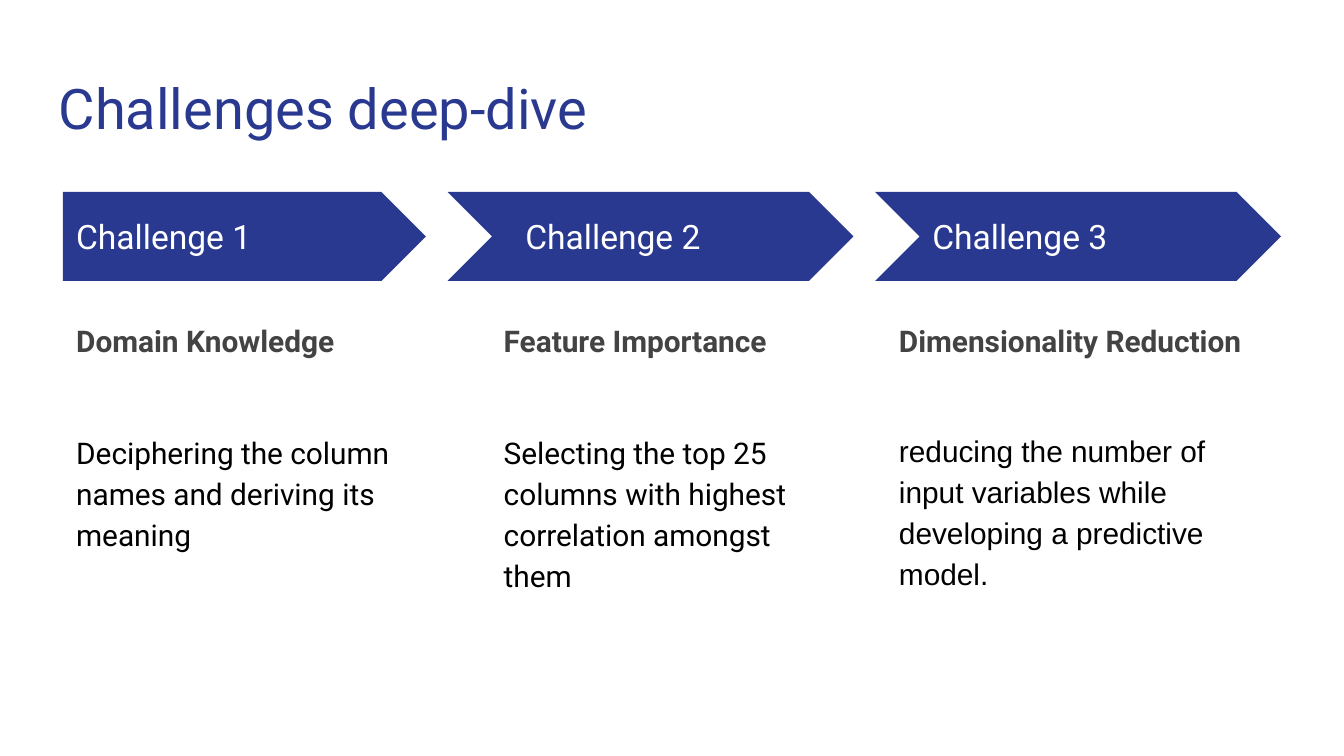
import pptx
import pptx.util
import pptx.dml.color
import pptx.enum.shapes
import pptx.enum.text
import pptx.oxml.ns
from lxml import etree

Cm = pptx.util.Cm
Pt = pptx.util.Pt
ANCHOR = pptx.enum.text.MSO_ANCHOR
PRESET = pptx.enum.shapes.MSO_SHAPE

COLOURS = {"navy": "2A3990", "white": "FFFFFF", "grey": "434343", "black": "000000"}
TITLE = "Challenges deep-dive"
CHALLENGES = [
    {
        "label": "Challenge 1", "label_left": 1.19,
        "arrow": PRESET.PENTAGON, "arrow_width": 6.86,
        "heading": "Domain Knowledge",
        "detail": "Deciphering the column names and deriving its meaning",
        "font": "Roboto", "space": 38, "left": 1.19, "width": 6.86,
    },
    {
        "label": "Challenge 2", "label_left": 9.68,
        "arrow": PRESET.CHEVRON, "arrow_width": 7.67,
        "heading": "Feature Importance",
        "detail": "Selecting the top 25 columns with highest correlation amongst them",
        "font": "Roboto", "space": 38, "left": 9.27, "width": 6.86,
    },
    {
        "label": "Challenge 3", "label_left": 17.37,
        "arrow": PRESET.CHEVRON, "arrow_width": 7.67,
        "heading": "Dimensionality Reduction",
        "detail": "reducing the number of input variables while developing a predictive model.",
        "font": "Arial", "space": 37, "left": 16.74, "width": 7.49,
    },
]
ARROW_LEFT, ARROW_TOP, ARROW_HEIGHT, ARROW_GAP = 1.19, 3.63, 1.68, 0.41
LABEL_TOP, LABEL_WIDTH, LABEL_HEIGHT = 4.04, 6.27, 0.86
DETAIL_TOP, DETAIL_HEIGHT = 5.74, 7.37


def place(box, left, top, width, height, anchor=ANCHOR.TOP):
    box.left, box.top, box.width, box.height = Cm(left), Cm(top), Cm(width), Cm(height)
    frame = box.text_frame
    frame.word_wrap = True
    frame.auto_size = pptx.enum.text.MSO_AUTO_SIZE.NONE
    frame.vertical_anchor = anchor
    frame.margin_left = frame.margin_right = Cm(0.25)
    frame.margin_top = frame.margin_bottom = Cm(0.25)
    return frame


def write(frame, text, size=16, font="Roboto", colour="black", bold=False,
          line=1.0, before=0, after=0):
    para = frame.add_paragraph() if frame.text else frame.paragraphs[0]
    para.alignment = pptx.enum.text.PP_ALIGN.LEFT
    para.line_spacing = line
    para.space_before, para.space_after = Pt(before), Pt(after)
    properties = para._p.get_or_add_pPr()
    properties.set("marL", "0")
    properties.set("indent", "0")
    etree.SubElement(properties, pptx.oxml.ns.qn("a:buNone"))
    span = para.add_run()
    span.text = text
    span.font.name, span.font.size, span.font.bold = font, Pt(size), bold
    span.font.color.rgb = pptx.dml.color.RGBColor.from_string(COLOURS[colour])


deck = pptx.Presentation()
deck.slide_width, deck.slide_height = Cm(25.4), Cm(14.29)
page = deck.slides.add_slide(deck.slide_layouts.get_by_name("Comparison"))

title = place(page.shapes.title, 0.86, 1.14, 23.67, 1.68)
write(title, TITLE, size=30, colour="navy")

bodies = list(page.placeholders)[1:]
arrow_left = ARROW_LEFT
for challenge, body in zip(CHALLENGES, bodies):
    arrow = page.shapes.add_shape(
        challenge["arrow"], Cm(arrow_left), Cm(ARROW_TOP),
        Cm(challenge["arrow_width"]), Cm(ARROW_HEIGHT))
    arrow.shadow.inherit = False
    arrow.fill.solid()
    arrow.fill.fore_color.rgb = pptx.dml.color.RGBColor.from_string(COLOURS["navy"])
    arrow.line.fill.background()
    arrow_left += challenge["arrow_width"] + ARROW_GAP

    label = place(page.shapes.add_textbox(0, 0, 0, 0), challenge["label_left"],
                  LABEL_TOP, LABEL_WIDTH, LABEL_HEIGHT, ANCHOR.MIDDLE)
    write(label, challenge["label"], size=18, colour="white")

    detail = place(body, challenge["left"], DETAIL_TOP, challenge["width"], DETAIL_HEIGHT)
    write(detail, challenge["heading"], colour="grey", bold=True, line=1.15)
    write(detail, challenge["detail"], font=challenge["font"], line=1.15,
          before=challenge["space"], after=8)

for body in bodies[len(CHALLENGES):]:
    body.element.getparent().remove(body.element)

deck.save("out.pptx")
